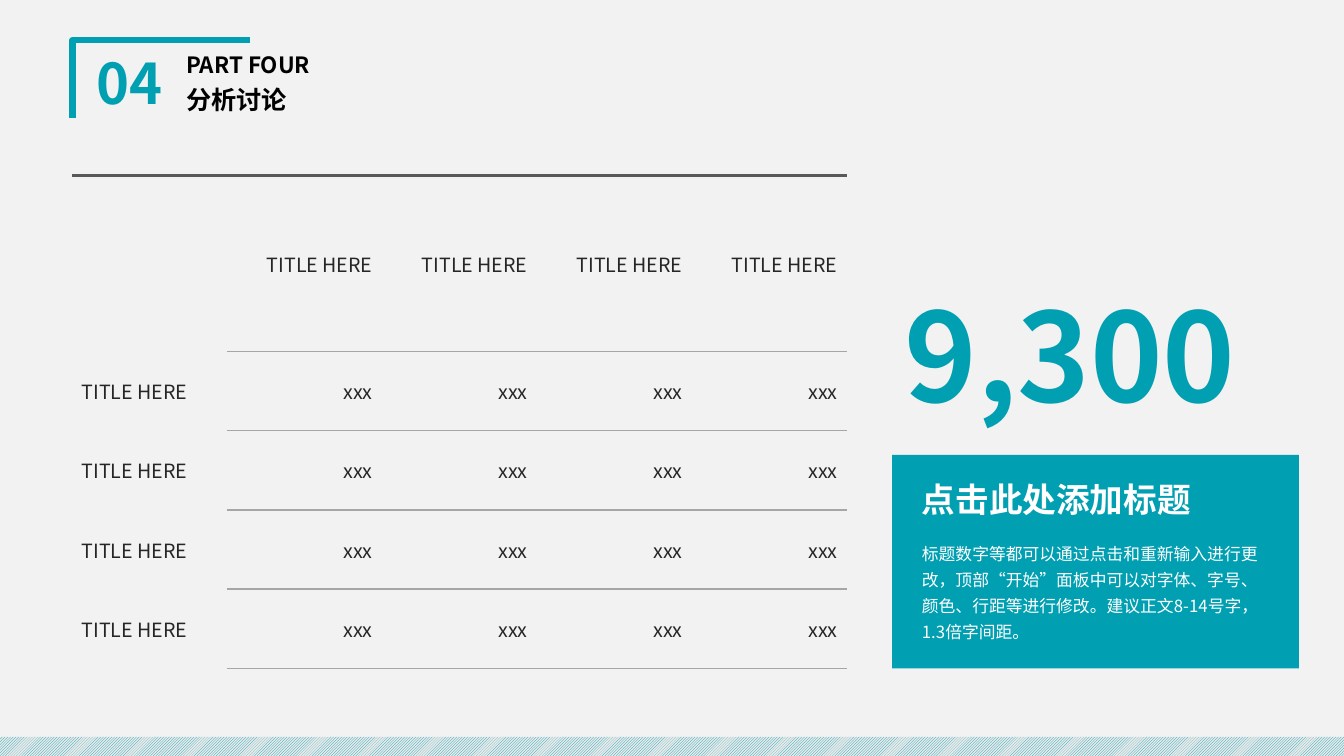
from lxml import etree
from pptx import Presentation
from pptx.dml.color import RGBColor
from pptx.enum.dml import MSO_PATTERN
from pptx.enum.shapes import MSO_SHAPE
from pptx.enum.text import MSO_ANCHOR, PP_ALIGN
from pptx.oxml.ns import qn
from pptx.util import Pt

RECT = MSO_SHAPE.RECTANGLE
UP_DIAGONAL = MSO_PATTERN.LIGHT_UPWARD_DIAGONAL
TOP, MIDDLE = MSO_ANCHOR.TOP, MSO_ANCHOR.MIDDLE
LEFT, CENTER, RIGHT = PP_ALIGN.LEFT, PP_ALIGN.CENTER, PP_ALIGN.RIGHT

FONT = "Noto Sans CJK SC"
TEAL, PAPER, WHITE, BLACK = "009FB1", "F2F2F2", "FFFFFF", "000000"
INK, RULE, HEAD_RULE, STRIPE = "262626", "A6A6A6", "595959", "E9E9E9"


def rgb(color):
    return RGBColor.from_string(color)


def add_run(p, text, size, color, bold=False):
    r = p.add_run()
    r.text = text
    r.font.size = Pt(size)
    r.font.bold = bold
    r.font.color.rgb = rgb(color)
    r.font.name = FONT
    etree.SubElement(r._r.get_or_add_rPr(), qn("a:ea"), typeface=FONT)


def add_text(s, x, y, w, h, text, size, color, bold=False,
             align=LEFT, anchor=TOP, spacing=1.0):
    tf = s.shapes.add_textbox(Pt(x), Pt(y), Pt(w), Pt(h)).text_frame
    tf.word_wrap = True
    tf.vertical_anchor = anchor
    p = tf.paragraphs[0]
    p.alignment = align
    p.line_spacing = spacing
    add_run(p, text, size, color, bold)


def add_rect(s, x, y, w, h):
    sp = s.shapes.add_shape(RECT, Pt(x), Pt(y), Pt(w), Pt(h))
    sp.shadow.inherit = False
    sp.line.fill.background()
    return sp


def set_borders(cell, top, bottom):
    """Each border is (color, width), or None for no line."""
    tc_pr = cell._tc.get_or_add_tcPr()
    sides = (("a:lnL", None), ("a:lnR", None), ("a:lnT", top), ("a:lnB", bottom))
    for i, (tag, border) in enumerate(sides):
        ln = etree.Element(qn(tag))
        if border:
            color, width = border
            ln.set("w", str(Pt(width)))
            fill = etree.SubElement(ln, qn("a:solidFill"))
            etree.SubElement(fill, qn("a:srgbClr"), val=color)
        else:
            etree.SubElement(ln, qn("a:noFill"))
        tc_pr.insert(i, ln)


def add_header(s, x, y):
    # Corner bracket
    builder = s.shapes.build_freeform(Pt(x), Pt(y + 55.5))
    builder.add_line_segments([(Pt(x), Pt(y)), (Pt(x + 126.7), Pt(y))], close=False)
    bracket = builder.convert_to_shape()
    bracket.shadow.inherit = False
    bracket.fill.background()
    bracket.line.color.rgb = rgb(TEAL)
    bracket.line.width = Pt(4.5)
    # Section number and names
    add_text(s, x + 7.2, y + 6.5, 67, 52.5, "04", 40, TEAL, True, CENTER, MIDDLE, 0.9)
    add_text(s, x + 74.2, y + 6.5, 192, 24.5, "PART FOUR", 16, BLACK, True,
             anchor=MIDDLE, spacing=0.9)
    add_text(s, x + 74.2, y + 27.4, 192, 31.7, "分析讨论", 18, BLACK, True,
             anchor=MIDDLE, spacing=0.9)


def add_data_table(s, x, y, w, head_h, row_h, rows):
    n_rows, n_cols = len(rows), len(rows[0])
    height = head_h + row_h * (n_rows - 1)
    table = s.shapes.add_table(n_rows, n_cols, Pt(x), Pt(y), Pt(w), Pt(height)).table
    table.first_row = table.horz_banding = False
    for column in table.columns:
        column.width = Pt(w / n_cols)
    for i, row in enumerate(rows):
        table.rows[i].height = Pt(row_h if i else head_h)
        for j, text in enumerate(row):
            cell = table.cell(i, j)
            cell.fill.background()
            cell.vertical_anchor = MIDDLE
            cell.margin_left = cell.margin_right = Pt(6.8)
            rule = (RULE, 1) if j else None
            set_borders(cell, rule if i else (HEAD_RULE, 2.25), rule)
            if text:
                p = cell.text_frame.paragraphs[0]
                p.alignment = RIGHT if j else LEFT
                add_run(p, text, 14, INK)


def add_highlight(s, x, y, w, h):
    # Key figure above the panel
    add_text(s, x + 2, y - 129, w - 2, 114, "9,300", 88, TEAL, True)
    # Panel with heading and body
    panel = add_rect(s, x, y, w, h)
    panel.fill.solid()
    panel.fill.fore_color.rgb = rgb(TEAL)
    add_text(s, x + 14.2, y + 13.7, 217.5, 36, "点击此处添加标题", 24, WHITE, True)
    add_text(s, x + 14.2, y + 55.4, 260, 83,
             "标题数字等都可以通过点击和重新输入进行更改，顶部“开始”面板中可以对字体、字号、"
             "颜色、行距等进行修改。建议正文8-14号字，1.3倍字间距。",
             12, WHITE, spacing=1.3)


def add_footer(s, x, y, w, h):
    band = add_rect(s, x, y, w, h)
    band.fill.patterned()
    band.fill.pattern = UP_DIAGONAL
    band.fill.fore_color.rgb = rgb(TEAL)
    band.fill.back_color.rgb = rgb(STRIPE)


def main():
    prs = Presentation()
    prs.slide_width, prs.slide_height = Pt(960), Pt(540)
    s = prs.slides.add_slide(prs.slide_layouts[6])
    s.background.fill.solid()
    s.background.fill.fore_color.rgb = rgb(PAPER)

    title = "TITLE HERE"
    rows = [[""] + [title] * 4] + [[title] + ["xxx"] * 4 for _ in range(4)]
    add_footer(s, 0, 526.3, 960, 13.7)
    add_header(s, 51.8, 28.8)
    add_data_table(s, 51.6, 125.2, 553.5, 126, 56.55, rows)
    add_highlight(s, 637.3, 325, 290.5, 152.4)
    prs.save("out.pptx")


if __name__ == "__main__":
    main()
